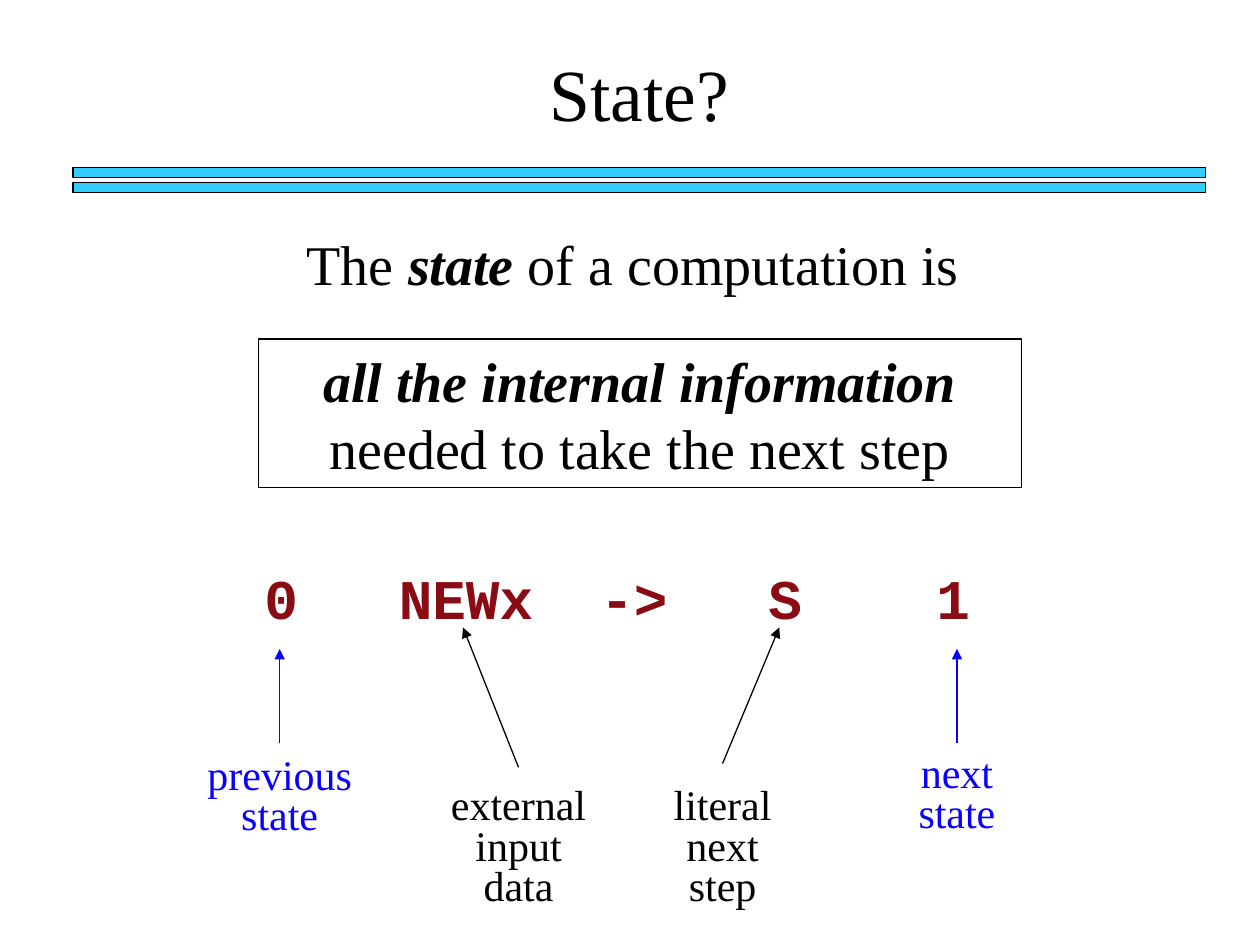
from collections import namedtuple

from lxml import etree
from pptx import Presentation
from pptx import util as u
from pptx.dml import color
from pptx.enum import shapes, text
from pptx.oxml import ns

COLORS = {"black": "000000", "blue": "0900FF", "red": "890B13", "bar": "33CCFF"}
SERIF, MONO = "Times New Roman", "Courier New"
COLS, ROWS = 100, 75
Box = namedtuple("Box", "x y w h")

prs = Presentation()
prs.slide_width, prs.slide_height = u.Inches(10), u.Inches(7.5)
COL, ROW = prs.slide_width / COLS, prs.slide_height / ROWS


def rgb(name):
    return color.RGBColor.from_string(COLORS[name])


def emu(box):
    return [round(v * unit) for v, unit in zip(box, (COL, ROW, COL, ROW))]


def add_run(p, words, size, tint="black", font=SERIF, bold=False, italic=False):
    r = p.add_run()
    r.text = words
    r.font.name, r.font.size = font, u.Pt(size)
    r.font.bold, r.font.italic = bold, italic
    r.font.color.rgb = rgb(tint)


def start_text(sp, align=text.PP_ALIGN.CENTER, anchor=text.MSO_ANCHOR.TOP):
    tf = sp.text_frame
    tf.word_wrap = True
    tf.vertical_anchor = anchor
    p = tf.paragraphs[0]
    p.alignment = align
    return p


def add_rect(parent, box, fill=None):
    sp = parent.add_shape(shapes.MSO_SHAPE.RECTANGLE, *emu(box))
    sp.shadow.inherit = False
    if fill:
        sp.fill.solid()
        sp.fill.fore_color.rgb = rgb(fill)
    else:
        sp.fill.background()
    sp.line.color.rgb = rgb("black")
    sp.line.width = u.Pt(0.75)
    return sp


def add_title(s, box):
    sp = s.shapes.title
    sp.left, sp.top, sp.width, sp.height = emu(box)
    add_run(start_text(sp, anchor=text.MSO_ANCHOR.MIDDLE), "State?", 42)


def add_double_rule(s, box):
    group = s.shapes.add_group_shape()
    thickness = box.h * 0.4
    for y in (box.y, box.y + box.h - thickness):
        add_rect(group.shapes, Box(box.x, y, box.w, thickness), "bar")


def add_definition(s, box):
    p = start_text(s.shapes.add_textbox(*emu(box._replace(h=box.h * 0.3))))
    add_run(p, "The ", 32)
    add_run(p, "state", 32, bold=True, italic=True)
    add_run(p, " of a computation is ", 32)

    frame = Box(box.x + 9.4, box.y + 9.2, 60.6, box.h - 9.2)
    p = start_text(add_rect(s.shapes, frame), anchor=text.MSO_ANCHOR.MIDDLE)
    add_run(p, "all the internal information ", 32, bold=True, italic=True)
    add_run(p, "needed to take the next step", 32)


def add_rule_code(s, box):
    size = 32
    p = start_text(s.shapes.add_textbox(*emu(box)), text.PP_ALIGN.LEFT)
    tabs = etree.SubElement(p._p.get_or_add_pPr(), ns.qn("a:tabLst"))
    for column in (4, 10, 15, 20):
        tab = etree.SubElement(tabs, ns.qn("a:tab"))
        tab.set("pos", str(u.Pt(column * size * 0.6)))
        tab.set("algn", "l")
    add_run(p, "0\tNEWx\t->\tS\t1", size, "red", MONO, bold=True)


def add_callout(s, box, words, tint, gap, dx, rise):
    p = start_text(s.shapes.add_textbox(*emu(box)))
    p.line_spacing = 0.8
    add_run(p, words, 24, tint)

    x, y = box.x + box.w / 2, box.y - gap
    ends = emu((x, y, x + dx, y - rise))
    line = s.shapes.add_connector(shapes.MSO_CONNECTOR.STRAIGHT, *ends)
    line.line.color.rgb = rgb(tint)
    line.line.width = u.Pt(0.75)
    head = etree.SubElement(line.line._get_or_add_ln(), ns.qn("a:tailEnd"))
    head.set("type", "triangle")
    etree.SubElement(line._element.spPr, ns.qn("a:effectLst"))


def build_slide():
    s = prs.slides.add_slide(prs.slide_layouts[5])
    add_double_rule(s, Box(5.8, 13.3, 89.9, 2))
    add_title(s, Box(19.5, 3.3, 62.5, 8))
    add_definition(s, Box(11.1, 17.7, 79.4, 21))
    add_rule_code(s, Box(20, 44.2, 77.5, 6.3))
    for box, words, tint, gap, dx, rise in (
        (Box(15.4, 59.7, 13.6, 7.4), "previous state", "blue", 0.7, 0, 7.5),
        (Box(70.2, 59.5, 11.5, 7.4), "next state", "blue", 0.5, 0, 7.5),
        (Box(51.6, 62.1, 11.5, 10.6), "literal next step", "black", 1.5, 4.5, 10.8),
        (Box(34.4, 62.1, 13.5, 10.6), "external input data", "black", 1.2, -4.4, 11.1),
    ):
        add_callout(s, box, words, tint, gap, dx, rise)


if __name__ == "__main__":
    build_slide()
    prs.save("out.pptx")
